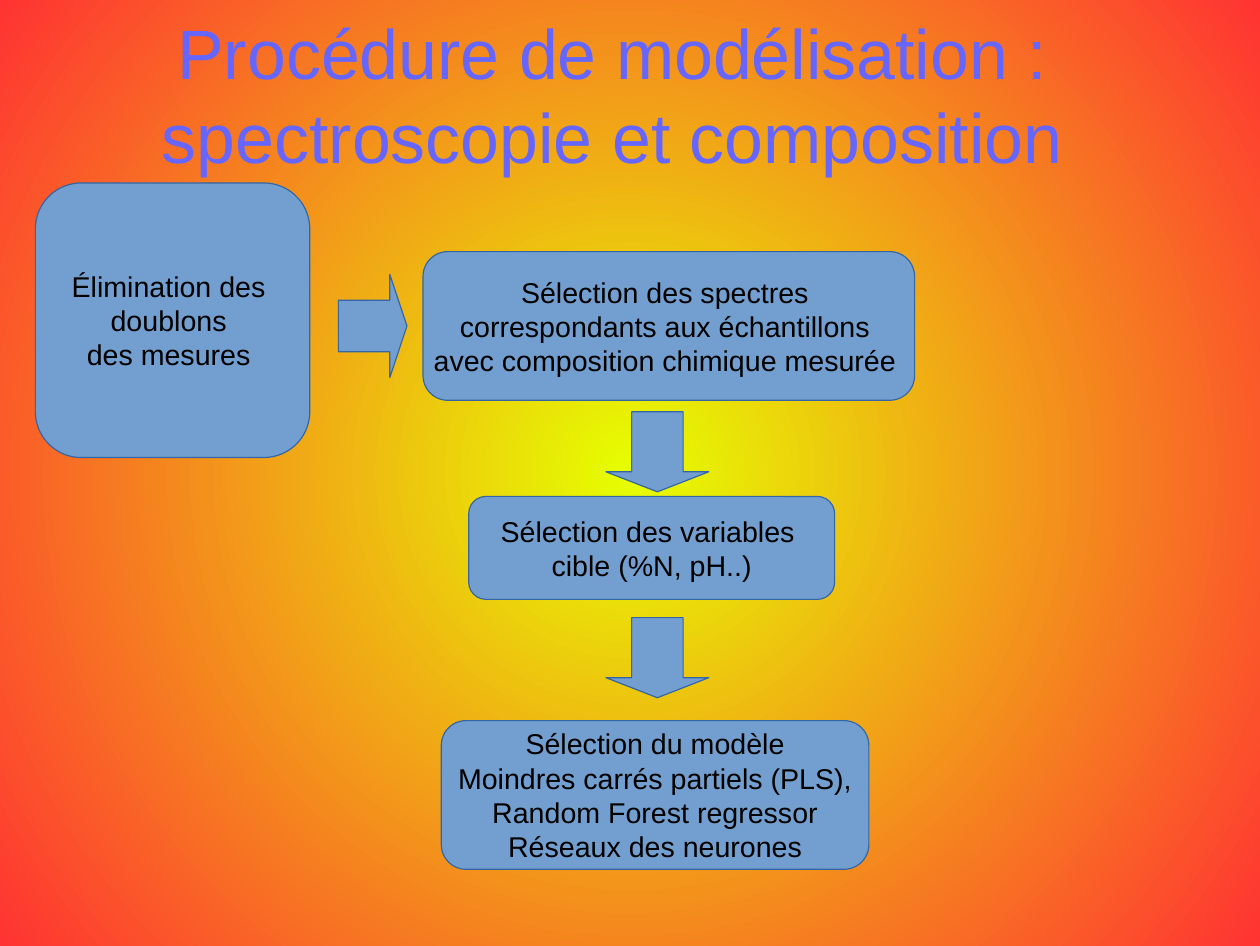
"""Build a one-slide flow chart of a spectroscopy modelling procedure."""
from lxml.etree import SubElement
from pptx import Presentation
from pptx.dml.color import RGBColor
from pptx.enum.shapes import MSO_SHAPE as Shape
from pptx.enum.text import MSO_ANCHOR as Anchor, PP_ALIGN as Align
from pptx.oxml.ns import qn
from pptx.util import Inches, Pt

WIDTH, HEIGHT = 11.02, 8.27
CELL = 0.1
FONT = "Arial"
TITLE = "Procédure de modélisation :\vspectroscopie et composition"
TITLE_AREA = (4, 1.3, 99.2, 13.7)
COLORS = {"step": "729FCF", "outline": "3465A4", "text": "000000", "title": "6666FF"}
BACKGROUND = ("E6FF00", "FF3333")

# Areas are left, top, columns and rows on a grid of square cells.
STEPS = [
    ((3.1, 16, 24, 24), ["Élimination des ", "doublons ", "des mesures "]),
    ((37, 22, 43, 13), ["Sélection des spectres ", "correspondants aux échantillons ",
                        "avec composition chimique mesurée "]),
    ((41, 43.4, 32, 9), ["Sélection des variables ", "cible (%N, pH..)"]),
    ((38.6, 63, 37.4, 13), ["Sélection du modèle", "Moindres carrés partiels (PLS),",
                            "Random Forest regressor", "Réseaux des neurones"]),
]
ARROWS = [
    (Shape.RIGHT_ARROW, (29.6, 24, 6, 9)),
    (Shape.DOWN_ARROW, (53, 36, 9, 7)),
    (Shape.DOWN_ARROW, (53, 54, 9, 7)),
]


def color(code):
    return RGBColor.from_string(code)


def place(area):
    return [Inches(cells * CELL) for cells in area]


def paint_background(slide):
    fill = slide.background.fill
    fill.gradient()
    for position, (stop, code) in enumerate(zip(fill.gradient_stops, BACKGROUND)):
        stop.position = position
        stop.color.rgb = color(code)
    gradient = slide.element.find(".//" + qn("a:gradFill"))
    gradient.remove(gradient.find(qn("a:lin")))
    circle = SubElement(gradient, qn("a:path"), {"path": "circle"})
    SubElement(circle, qn("a:fillToRect"), {side: "50000" for side in "ltrb"})


def write(frame, text, size, code):
    frame.text = text
    frame.vertical_anchor = Anchor.MIDDLE
    for paragraph in frame.paragraphs:
        paragraph.alignment = Align.CENTER
        for run in paragraph.runs:
            run.font.name, run.font.size = FONT, Pt(size)
            run.font.color.rgb = color(code)


def add_block(slide, kind, area, *adjustments):
    block = slide.shapes.add_shape(kind, *place(area))
    for index, value in enumerate(adjustments):
        block.adjustments[index] = value
    block.shadow.inherit = False
    block.fill.solid()
    block.fill.fore_color.rgb = color(COLORS["step"])
    block.line.color.rgb = color(COLORS["outline"])
    block.line.width = Pt(0)
    return block


def add_title(slide):
    frame = slide.shapes.add_textbox(*place(TITLE_AREA)).text_frame
    frame.word_wrap = True
    frame.margin_left = frame.margin_right = frame.margin_top = frame.margin_bottom = 0
    write(frame, TITLE, 44, COLORS["title"])


def main():
    deck = Presentation()
    deck.slide_width, deck.slide_height = Inches(WIDTH), Inches(HEIGHT)
    slide = deck.slides.add_slide(deck.slide_layouts[6])
    paint_background(slide)
    add_title(slide)
    for area, lines in STEPS:
        step = add_block(slide, Shape.ROUNDED_RECTANGLE, area, 0.167)
        step.text_frame.word_wrap = False
        write(step.text_frame, "\n".join(lines), 18, COLORS["text"])
    for kind, area in ARROWS:
        add_block(slide, kind, area, 0.5, 0.25)
    deck.save("out.pptx")


if __name__ == "__main__":
    main()
